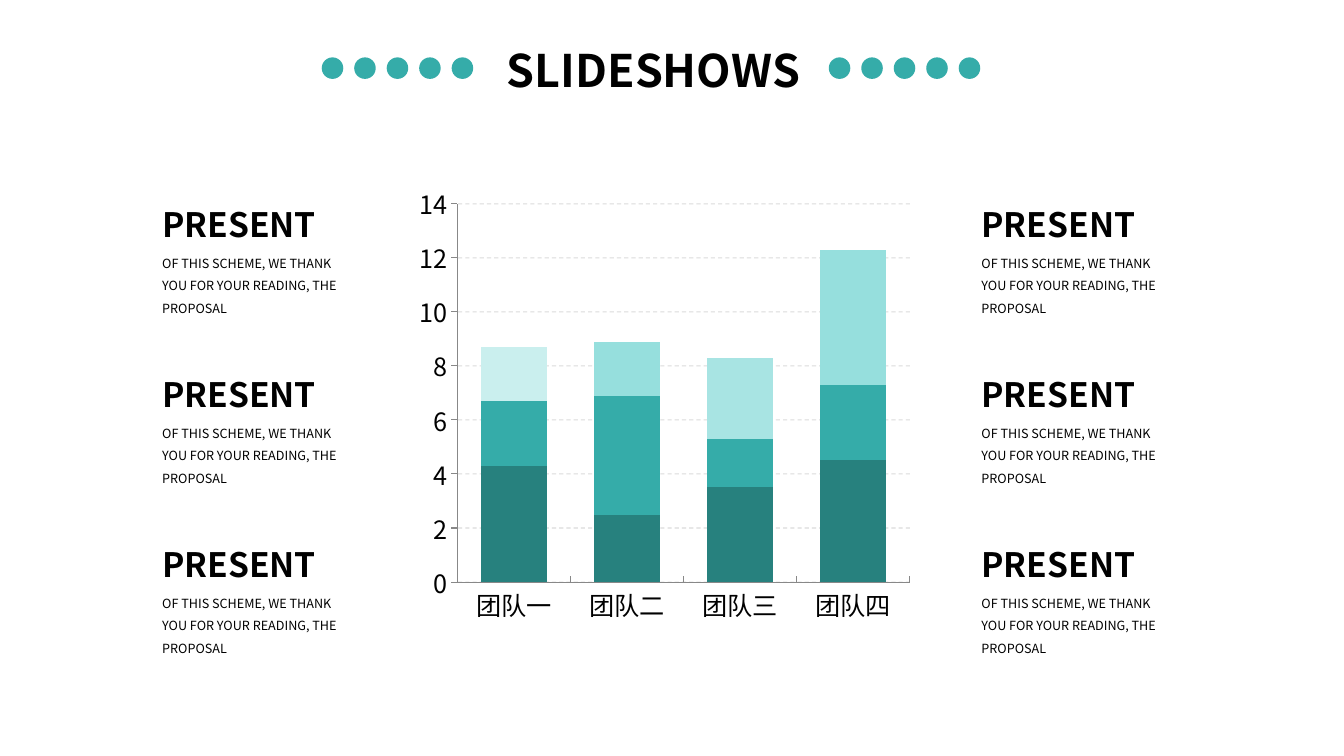
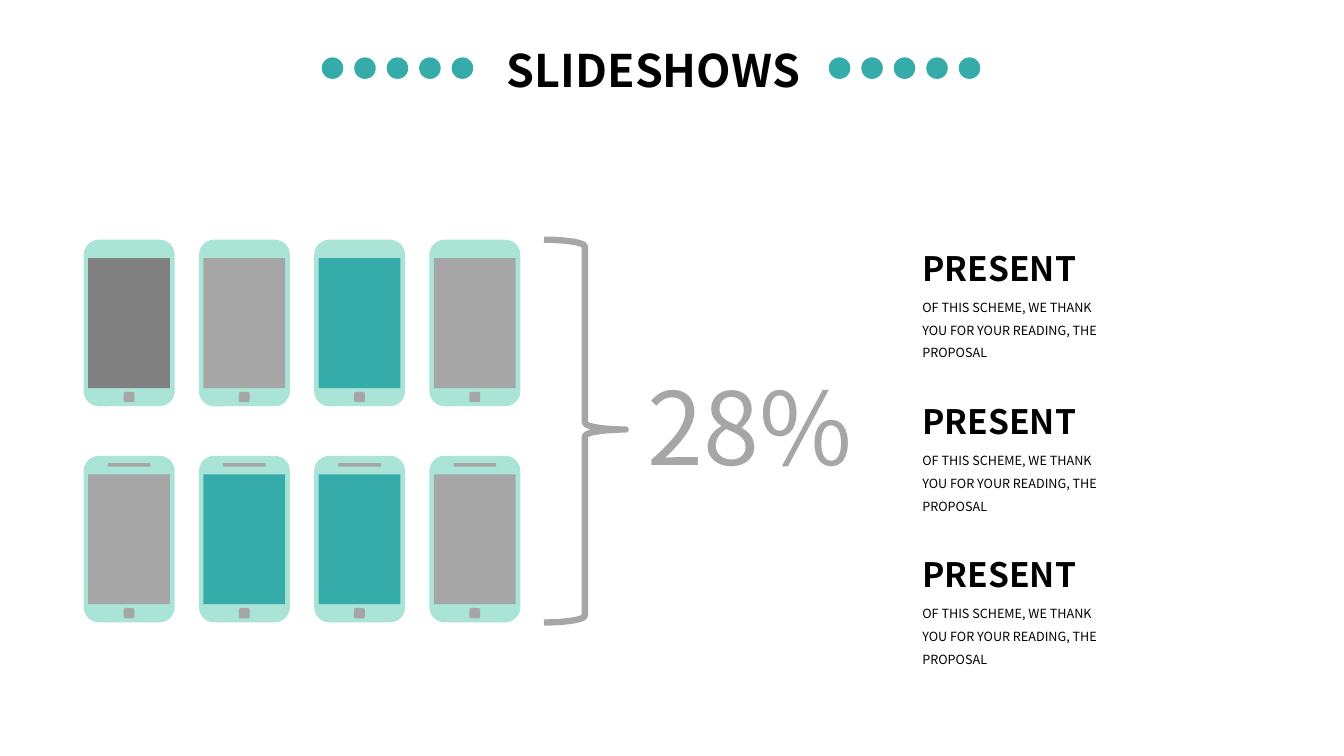
from dataclasses import dataclass

from lxml.etree import SubElement
from pptx import Presentation
from pptx.chart.data import CategoryChartData
from pptx.dml.color import RGBColor
from pptx.enum.chart import XL_CHART_TYPE as ChartType, XL_TICK_MARK as TickMark
from pptx.enum.dml import MSO_LINE_DASH_STYLE as Dash
from pptx.enum.shapes import MSO_SHAPE as Preset
from pptx.enum.text import MSO_ANCHOR as Anchor, MSO_AUTO_SIZE as AutoSize, PP_ALIGN as Align
from pptx.oxml.ns import qn
from pptx.util import Pt

# Shared look
FONT = "Noto Sans CJK JP"
BLACK, GRAY, DARK_GRAY, AXIS_GRAY = "000000", "A6A6A6", "808080", "888888"
TEAL, DARK_TEAL, MINT = "35ACA9", "27817E", "4CC7AA"
TITLE = "SLIDESHOWS"
HEADING = "PRESENT"
BODY = "OF THIS SCHEME, WE THANK YOU FOR YOUR READING, THE PROPOSAL"

DOT_SIZE, DOT_PITCH, DOT_TOP, DOTS_PER_SIDE = 15.4, 23.2, 41, 5
DOT_LEFTS = (229.8, 592)


@dataclass
class Box:
    left: float
    top: float
    width: float
    height: float

    def lengths(self) -> tuple:
        return Pt(self.left), Pt(self.top), Pt(self.width), Pt(self.height)

    def moved(self, right: float, down: float) -> "Box":
        return Box(self.left + right, self.top + down, self.width, self.height)


@dataclass
class TextColumn:
    left: float
    top: float
    pitch: float
    count: int = 3


@dataclass
class Phone:
    column: int
    row: int
    screen: str


@dataclass
class Series:
    name: str
    values: tuple
    color: str
    point_colors: tuple = ()


def rgb(color: str) -> RGBColor:
    return RGBColor.from_string(color)


def set_alpha(element, percent: int) -> None:
    """Make every colour inside the element partly transparent."""
    for color in element.iter(qn("a:srgbClr")):
        SubElement(color, qn("a:alpha"), val=str(percent * 1000))


def paint(part, color: str) -> None:
    part.format.fill.solid()
    part.format.fill.fore_color.rgb = rgb(color)


def add_filled(page, preset, box: Box, color: str):
    shape = page.shapes.add_shape(preset, *box.lengths())
    shape.shadow.inherit = False
    shape.fill.solid()
    shape.fill.fore_color.rgb = rgb(color)
    shape.line.fill.background()
    return shape


def set_text(frame, text: str, size: float, color: str = BLACK, bold: bool = False,
             align=Align.LEFT, spacing: float = 1.0, wrap: bool = True) -> None:
    frame.word_wrap = wrap
    frame.auto_size = AutoSize.NONE
    frame.vertical_anchor = Anchor.TOP
    para = frame.paragraphs[0]
    para.text = text
    para.alignment = align
    para.line_spacing = spacing
    para.font.name = FONT
    para.font.size = Pt(size)
    para.font.bold = bold
    para.font.color.rgb = rgb(color)


def add_text(page, box: Box, text: str, size: float, **style) -> None:
    set_text(page.shapes.add_textbox(*box.lengths()).text_frame, text, size, **style)


def add_page(deck):
    """Add a page with its title between two rows of dots."""
    page = deck.slides.add_slide(deck.slide_layouts[5])
    title = page.shapes.title
    title.left, title.top, title.width, title.height = Box(349.2, 26.6, 235.4, 46).lengths()
    set_text(title.text_frame, TITLE, 32, bold=True, align=Align.CENTER, wrap=False)
    for left in DOT_LEFTS:
        for index in range(DOTS_PER_SIDE):
            dot = Box(left + index * DOT_PITCH, DOT_TOP, DOT_SIZE, DOT_SIZE)
            add_filled(page, Preset.OVAL, dot, TEAL)
    return page


def add_text_column(page, column: TextColumn) -> None:
    for index in range(column.count):
        heading = Box(column.left, column.top + index * column.pitch, 129, 36)
        add_text(page, heading, HEADING, 24, bold=True, wrap=False)
        body = Box(column.left, heading.top + 31.7, 152, 54)
        add_text(page, body, BODY, 9, spacing=1.5)


def style_axis(axis, tick) -> None:
    axis.major_tick_mark = tick
    axis.minor_tick_mark = TickMark.NONE
    axis.format.line.color.rgb = rgb(AXIS_GRAY)
    axis.format.line.width = Pt(0.75)


def add_team_chart(page, box: Box, categories: tuple, series_list: tuple) -> None:
    data = CategoryChartData()
    data.categories = categories
    for series in series_list:
        data.add_series(series.name, series.values)
    chart = page.shapes.add_chart(ChartType.COLUMN_STACKED, *box.lengths(), data).chart
    chart.has_legend = False
    chart.has_title = False
    chart.font.name = FONT
    chart.font.size = Pt(18)
    chart.font.color.rgb = rgb(BLACK)

    # Axes and grid
    style_axis(chart.category_axis, TickMark.INSIDE)
    values = chart.value_axis
    style_axis(values, TickMark.OUTSIDE)
    values.minimum_scale, values.maximum_scale, values.major_unit = 0, 14, 2
    values.has_major_gridlines = True
    grid = values.major_gridlines.format.line
    grid.color.rgb = rgb(AXIS_GRAY)
    grid.width = Pt(0.75)
    grid.dash_style = Dash.DASH
    set_alpha(values._element.find(qn("c:majorGridlines")), 31)

    # Columns
    plot = chart.plots[0]
    plot.gap_width, plot.overlap = 72, 100
    plot.vary_by_categories = False
    for drawn, series in zip(plot.series, series_list):
        drawn.invert_if_negative = False
        paint(drawn, series.color)
        for index, color in enumerate(series.point_colors):
            paint(drawn.points[index], color)


def add_phone(page, phone: Phone) -> None:
    case = Box(59.8, 171.2, 65, 119).moved(phone.column * 82.3, phone.row * 154.4)
    left, top = case.left, case.top
    set_alpha(add_filled(page, Preset.ROUNDED_RECTANGLE, case, MINT).fill._xPr, 48)
    add_filled(page, Preset.RECTANGLE, Box(left + 3.2, top + 13.2, 58.4, 92.8), phone.screen)
    add_filled(page, Preset.ROUNDED_RECTANGLE, Box(left + 28.6, top + 108.7, 7.6, 7.4), GRAY)
    if phone.row == 1:
        add_filled(page, Preset.ROUNDED_RECTANGLE, Box(left + 17.3, top + 5.3, 30.4, 2.4), GRAY)


def add_brace(page, box: Box) -> None:
    brace = page.shapes.add_shape(Preset.RIGHT_BRACE, *box.lengths())
    brace.shadow.inherit = False
    brace.adjustments[0], brace.adjustments[1] = 0.083, 0.496
    brace.fill.background()
    brace.line.color.rgb = rgb(GRAY)
    brace.line.width = Pt(4.5)


def build_chart_page(deck) -> None:
    page = add_page(deck)
    add_team_chart(
        page, Box(292.3, 126, 365, 325.4), ("团队一", "团队二", "团队三", "团队四"),
        (
            Series("Series 1", (4.3, 2.5, 3.5, 4.5), DARK_TEAL),
            Series("Series 2", (2.4, 4.4, 1.8, 2.8), TEAL),
            Series("Series 3", (2, 2, 3, 5), TEAL, ("CAEFEE", "96DFDD", "A8E4E3", "96DFDD")),
        ),
    )
    for left in (108.8, 694):
        add_text_column(page, TextColumn(left, 141.8, 121.5))


def build_phone_page(deck) -> None:
    page = add_page(deck)
    screens = ((DARK_GRAY, GRAY, TEAL, GRAY), (GRAY, TEAL, TEAL, GRAY))
    for row, colors in enumerate(screens):
        for column, color in enumerate(colors):
            add_phone(page, Phone(column, row, color))
    add_brace(page, Box(388.6, 171.2, 58.4, 273.4))
    add_text(page, Box(430, 257, 211.7, 94.3), "28%", 72, color=GRAY, align=Align.CENTER)
    add_text_column(page, TextColumn(651.8, 173.4, 109.5))


def main() -> None:
    deck = Presentation()
    deck.slide_width, deck.slide_height = Pt(960), Pt(540)
    build_chart_page(deck)
    build_phone_page(deck)
    deck.save("out.pptx")


if __name__ == "__main__":
    main()
